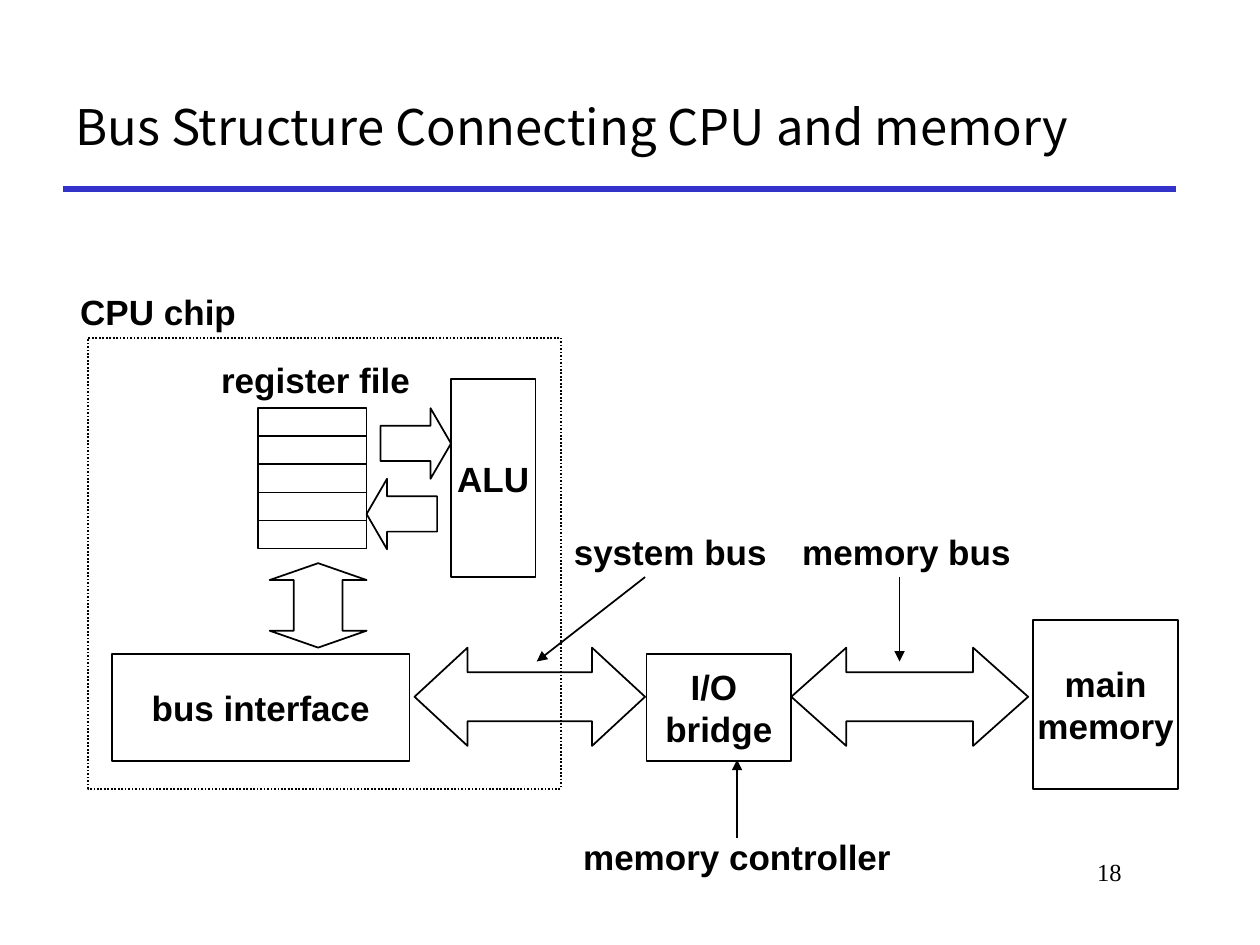
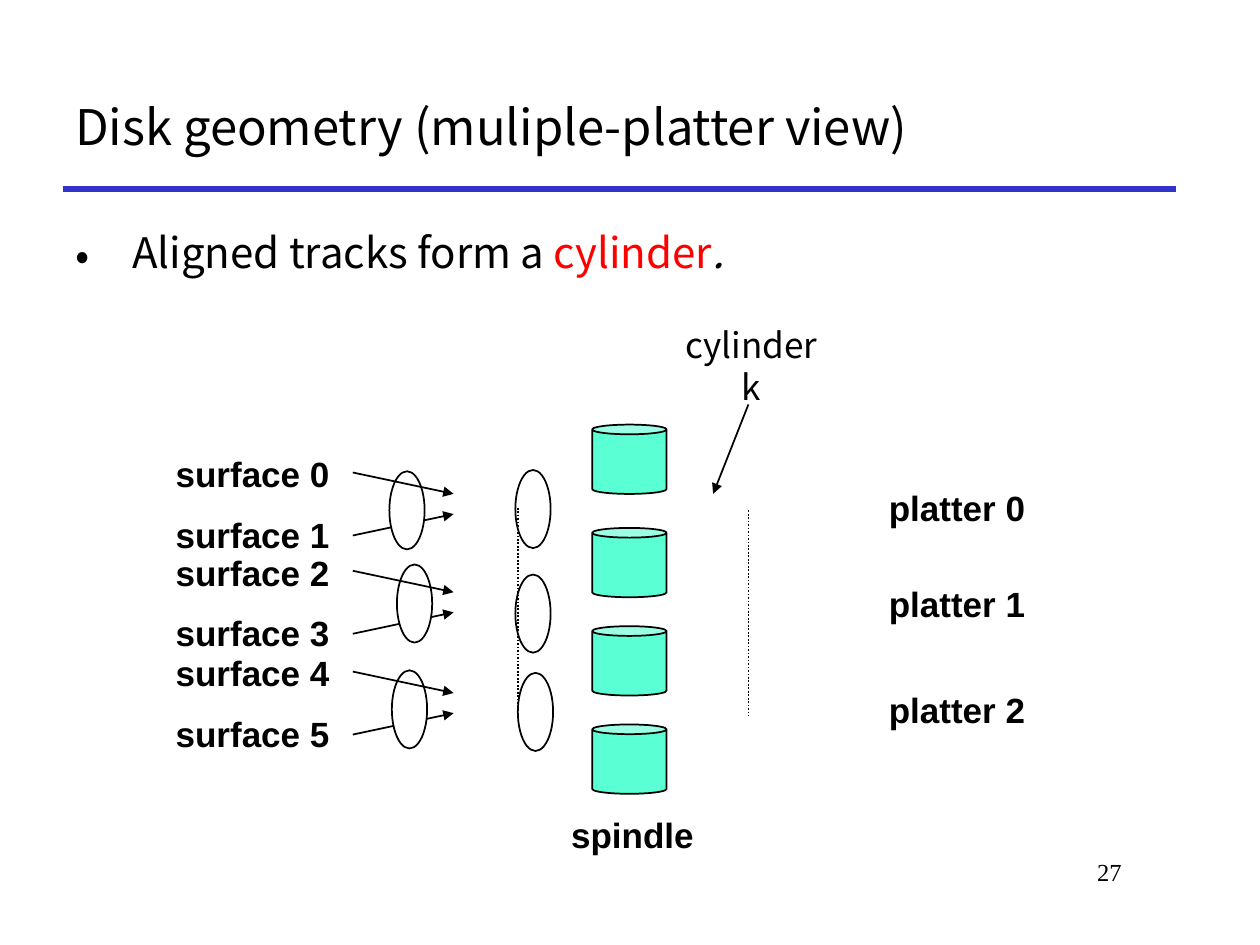
import lxml.etree
import pptx
import pptx.dml.color
import pptx.enum.dml
import pptx.enum.shapes
import pptx.enum.text
import pptx.oxml.ns
import pptx.util

KIND = pptx.enum.shapes.MSO_SHAPE
ALIGN = pptx.enum.text.PP_ALIGN
MID = pptx.enum.text.MSO_ANCHOR.MIDDLE
TOP = pptx.enum.text.MSO_ANCHOR.TOP
DOT = pptx.enum.dml.MSO_LINE.ROUND_DOT
SIZE = (10, 7.5)
COLS = 100  # square grid cells across the slide


class Theme:
    ink, rule, hot, mint, paper = "000000", "3333CC", "FF0000", "5BFFD4", "FFFFFF"
    thin, thick = 1, 3
    title = {"name": "Noto Sans CJK KR", "size": pptx.util.Pt(28)}
    body = {"name": "Noto Sans CJK KR", "size": pptx.util.Pt(24)}
    note = {"name": "Noto Sans CJK KR", "size": pptx.util.Pt(20)}
    label = {"name": "Arial", "size": pptx.util.Pt(20), "bold": True}
    page = {"name": "Times New Roman", "size": pptx.util.Pt(14)}


# Places are in grid cells: left, top, width, height.
BUS = {
    "title": "Bus Structure Connecting CPU and memory",
    "page": "18",
    "boxes": [
        (["main", "memory"], (82, 49.2, 11.5, 13.4)),
        (["I/O ", "bridge"], (51.3, 51.9, 11.5, 8.5)),
        (["bus interface"], (8.9, 51.9, 23.6, 8.5)),
        (["ALU"], (35.8, 30.1, 6.7, 15.7)),
    ],
    "arrows": [
        (KIND.LEFT_RIGHT_ARROW, (62.8, 51.4, 18.8, 7.8), (0.5, 0.56)),
        (KIND.LEFT_RIGHT_ARROW, (32.9, 51.4, 18.3, 7.8), (0.5, 0.54)),
        (KIND.RIGHT_ARROW, (30.2, 32.4, 5.6, 5.6), (0.5, 0.29)),
        (KIND.LEFT_ARROW, (29.1, 38, 5.6, 5.6), (0.5, 0.29)),
        (KIND.UP_DOWN_ARROW, (21.4, 44.7, 7.7, 6.7), (0.5, 0.2)),
    ],
    "file": {"rows": 5, "left": 20.5, "top": 32.4, "width": 8.6, "pitch": 2.23},
    "chip": (7, 26.8, 37.5, 35.8),
    "labels": [
        ("register file", 16.5, 27.9, 17.1),
        ("CPU chip", 5.3, 22.5, 14.5),
        ("system bus", 44.5, 41.6, 17.4),
        ("memory bus", 62.6, 41.6, 18.7),
        ("memory controller", 45.2, 65.8, 26.6),
    ],
    "leads": [
        (51.2, 45.8, 42.6, 52.5),
        (71.4, 45.8, 71.4, 52.5),
        (58.5, 66.5, 58.5, 60.3),
    ],
}

DISK = {
    "title": "Disk geometry (muliple-platter view)",
    "page": "27",
    "point": [
        ("Aligned tracks form a ", {}, Theme.ink),
        ("cylinder", {}, Theme.hot),
        (".", {"italic": True}, Theme.ink),
    ],
    # per platter: top of its arrows, left oval, right oval, top of its label
    "platters": [
        (37.5, (30.9, 37.4), (40.9, 37.3), 38.1),
        (45.3, (31.5, 44.8), (40.9, 45.6), 45.7),
        (53.3, (31.1, 53.2), (41.1, 53.4), 54.1),
    ],
    "oval": (2.8, 6.2),
    "cans": [33.7, 41.9, 49.7, 57.5],
    "edges": [(41.1, 40.3, 41.1, 56.6), (59.4, 40.5, 59.4, 56.8)],
    "lead": (59.4, 32.1, 56.6, 39.2),
}


def cell(count):
    return pptx.util.Inches(count * SIZE[0] / COLS)


def color(code):
    return pptx.dml.color.RGBColor.from_string(code)


def format(thing, values):
    for name, value in values.items():
        setattr(thing, name, value)


def add_run(para, text, font, ink=Theme.ink):
    run = para.add_run()
    run.text = text
    format(run.font, font)
    run.font.color.rgb = color(ink)


def fill_text(shape, lines, font, align=ALIGN.CENTER, anchor=MID, wrap=False):
    frame = shape.text_frame
    format(frame, {"word_wrap": wrap, "vertical_anchor": anchor})
    for i, line in enumerate(lines):
        para = frame.add_paragraph() if i else frame.paragraphs[0]
        para.alignment = align
        add_run(para, line, font)


def add_text(slide, place, lines, font, **look):
    box = slide.shapes.add_textbox(*map(cell, place))
    fill_text(box, lines, font, **look)
    return box


def add_label(slide, text, left, top, width, font=Theme.label, wrap=False):
    add_text(slide, (left, top, width, 4.4), [text], font, wrap=wrap)


def bend_form(form, bends):
    """Set the adjustments, and number their guides where there are several."""
    for i, bend in enumerate(bends):
        form.adjustments[i] = bend
    if len(bends) > 1:
        guides = form._element.spPr.iter(pptx.oxml.ns.qn("a:gd"))
        for i, guide in enumerate(guides, 1):
            guide.set("name", f"adj{i}")


def add_form(slide, kind, place, fill=None, dash=None, bends=()):
    form = slide.shapes.add_shape(kind, *map(cell, place))
    form.shadow.inherit = False
    bend_form(form, bends)
    if fill:
        form.fill.solid()
        form.fill.fore_color.rgb = color(fill)
    else:
        form.fill.background()
    form.line.color.rgb = color(Theme.ink)
    format(form.line, {"width": pptx.util.Pt(Theme.thin), "dash_style": dash})
    return form


def add_line(slide, ends, ink=Theme.ink, width=Theme.thin, dash=None, tip=False):
    straight = pptx.enum.shapes.MSO_CONNECTOR.STRAIGHT
    line = slide.shapes.add_connector(straight, *map(cell, ends))
    line.line.color.rgb = color(ink)
    format(line.line, {"width": pptx.util.Pt(width), "dash_style": dash})
    name = pptx.oxml.ns.qn
    props = line._element.spPr
    if tip:
        stroke = props.find(name("a:ln"))
        lxml.etree.SubElement(stroke, name("a:tailEnd"), type="triangle")
    lxml.etree.SubElement(props, name("a:effectLst"))


def add_slide(deck, data):
    """Start a blank slide with the shared rule, page number and title."""
    slide = deck.slides.add_slide(deck.slide_layouts[6])
    add_line(slide, (5, 15, 93.3, 15), Theme.rule, Theme.thick)
    add_text(slide, (75.8, 67.5, 14.2, 5), [data["page"]], Theme.page,
             align=ALIGN.RIGHT, anchor=TOP, wrap=True)
    add_text(slide, (5, 5, 88.3, 10), [data["title"]], Theme.title,
             align=ALIGN.LEFT, wrap=True)
    return slide


def add_point(slide, runs):
    """Add the bulleted line under the title."""
    box = add_text(slide, (5, 17.5, 90.8, 6.7), [], {}, anchor=TOP, wrap=True)
    para = box.text_frame.paragraphs[0]
    props = para._p.get_or_add_pPr()
    dent = cell(4.5)
    for name, value in {"marL": dent, "indent": -dent}.items():
        props.set(name, str(value))
    name = pptx.oxml.ns.qn
    lxml.etree.SubElement(props, name("a:buFont"), typeface=Theme.body["name"])
    lxml.etree.SubElement(props, name("a:buChar"), char="•")
    for text, extra, ink in runs:
        add_run(para, text, {**Theme.body, **extra}, ink)


def draw_bus(deck):
    slide = add_slide(deck, BUS)
    add_form(slide, KIND.RECTANGLE, BUS["chip"], dash=DOT)
    for lines, place in BUS["boxes"]:
        fill_text(add_form(slide, KIND.RECTANGLE, place), lines, Theme.label)
    for kind, place, bends in BUS["arrows"]:
        add_form(slide, kind, place, bends=bends)
    file = BUS["file"]
    for row in range(file["rows"]):
        top = file["top"] + row * file["pitch"]
        place = (file["left"], top, file["width"], file["pitch"])
        add_form(slide, KIND.RECTANGLE, place)
    for label in BUS["labels"]:
        add_label(slide, *label)
    for ends in BUS["leads"]:
        add_line(slide, ends, tip=True)


def draw_disk(deck):
    slide = add_slide(deck, DISK)
    add_point(slide, DISK["point"])
    for i, (top, left, right, name) in enumerate(DISK["platters"]):
        # The left oval covers the lower arrow and lies under the upper one.
        add_line(slide, (28, top + 5, 36, top + 3.3), tip=True)
        add_form(slide, KIND.OVAL, left + DISK["oval"], Theme.paper)
        add_line(slide, (28, top, 36, top + 1.7), tip=True)
        add_form(slide, KIND.OVAL, right + DISK["oval"])
        for side in range(2):
            add_label(slide, f"surface {2 * i + side}", 12.9,
                      top - 2.1 + 4.8 * side, 14.3)
        add_label(slide, f"platter {i}", 69.5, name, 12.9)
    for top in DISK["cans"]:
        add_form(slide, KIND.CAN, (47, top, 5.9, 5.5), Theme.mint, bends=[0.14])
    for ends in DISK["edges"]:
        add_line(slide, ends, dash=DOT)
    add_label(slide, "cylinder k", 52.6, 26.8, 14.1, Theme.note, wrap=True)
    add_line(slide, DISK["lead"], tip=True)
    add_label(slide, "spindle", 44.3, 64, 11.8)


def main():
    deck = pptx.Presentation()
    wide, high = map(pptx.util.Inches, SIZE)
    format(deck, {"slide_width": wide, "slide_height": high})
    draw_bus(deck)
    draw_disk(deck)
    deck.save("out.pptx")


if __name__ == "__main__":
    main()
